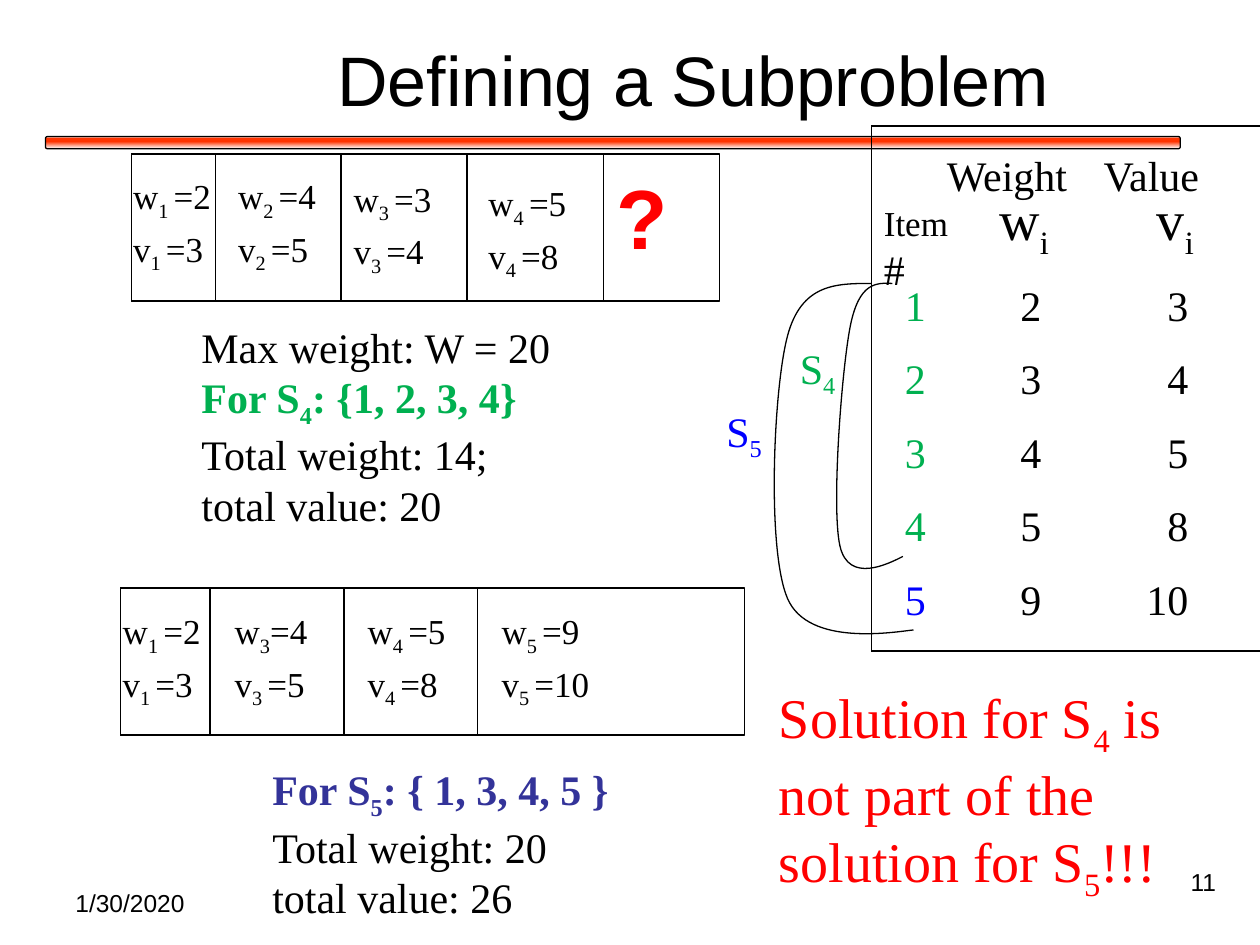
from lxml import etree
from pptx import Presentation
from pptx.dml.color import RGBColor
from pptx.enum.shapes import MSO_CONNECTOR, MSO_SHAPE
from pptx.enum.text import MSO_ANCHOR, MSO_AUTO_SIZE, PP_ALIGN
from pptx.oxml.ns import qn
from pptx.util import Pt

RECT, ROUNDED = MSO_SHAPE.RECTANGLE, MSO_SHAPE.ROUNDED_RECTANGLE
STRAIGHT = MSO_CONNECTOR.STRAIGHT
GROW = MSO_AUTO_SIZE.SHAPE_TO_FIT_TEXT
MIDDLE = MSO_ANCHOR.MIDDLE
LEFT, CENTER, RIGHT = PP_ALIGN.LEFT, PP_ALIGN.CENTER, PP_ALIGN.RIGHT
SERIF, SANS = "Times New Roman", "Arial"
BLACK, GREEN, BLUE, INDIGO, RED = "000000", "00B050", "0000FF", "333399", "FF0000"


def rgb(value):
    return RGBColor.from_string(value)


class Deck:
    """Draws styled elements on the current slide; ~ toggles subscript in text."""

    def __init__(self, slide):
        self.s = slide
        self.line_width = Pt(0.75)

    def outline(self, sp):
        sp.line.color.rgb = rgb(BLACK)
        sp.line.width = self.line_width

    def fill_text(self, p, text, size, color, font, bold):
        for i, part in enumerate(text.split("~")):
            if part:
                r = p.add_run()
                r.text = part
                r.font.size, r.font.name, r.font.bold = Pt(size), font, bold
                r.font.color.rgb = rgb(color)
                if i % 2:
                    r.font._element.set("baseline", "-25000")

    def title(self, text, x, y, w, h):
        sp = self.s.shapes.title
        sp.left, sp.top, sp.width, sp.height = Pt(x), Pt(y), Pt(w), Pt(h)
        tf = sp.text_frame
        tf.vertical_anchor = MIDDLE
        p = tf.paragraphs[0]
        p.alignment = CENTER
        self.fill_text(p, text, 40, BLACK, SANS, False)

    def text(self, lines, x, y, w, h, size=24, color=BLACK, font=SERIF, bold=False,
             wrap=False, align=LEFT, spacing=None, bold_line=None):
        sp = self.s.shapes.add_textbox(Pt(x), Pt(y), Pt(w), Pt(h))
        tf = sp.text_frame
        tf.word_wrap, tf.auto_size = wrap, GROW
        for i, line in enumerate(lines):
            p = tf.paragraphs[0] if i == 0 else tf.add_paragraph()
            p.alignment = align
            if spacing:
                p.line_spacing = spacing
            strong = bold_line is not None and line.startswith("For")
            self.fill_text(p, line, size, bold_line if strong else color, font, bold or strong)
        return tf

    def box(self, x, y, w, h, shape=RECT):
        sp = self.s.shapes.add_shape(shape, Pt(x), Pt(y), Pt(w), Pt(h))
        sp.shadow.inherit = False
        sp.fill.background()
        self.outline(sp)
        return sp

    def gradient_bar(self, x, y, w, h, stops):
        sp = self.box(x, y, w, h, ROUNDED)
        sp.fill.gradient()
        sp.fill.gradient_angle = 270
        stop_list = sp._element.spPr.find(".//" + qn("a:gsLst"))
        for old in list(stop_list):
            stop_list.remove(old)
        for position, color in stops:
            gs = etree.SubElement(stop_list, qn("a:gs"), pos=str(position * 1000))
            etree.SubElement(gs, qn("a:srgbClr"), val=color)

    def line(self, x1, y1, x2, y2):
        sp = self.s.shapes.add_connector(STRAIGHT, Pt(x1), Pt(y1), Pt(x2), Pt(y2))
        self.outline(sp)
        etree.SubElement(sp._element.spPr, qn("a:effectLst"))

    def curve(self, start, *points):
        builder = self.s.shapes.build_freeform(Pt(start[0]), Pt(start[1]))
        builder.add_line_segments([(Pt(x), Pt(y)) for x, y in points], close=False)
        sp = builder.convert_to_shape()
        sp.shadow.inherit = False
        sp.fill.background()
        self.outline(sp)
        outline = sp._element.find(".//" + qn("a:path"))
        segments = outline.findall(qn("a:lnTo"))
        for i in range(0, len(segments), 3):
            bezier = etree.SubElement(outline, qn("a:cubicBezTo"))
            for segment in segments[i:i + 3]:
                bezier.append(segment[0])
                outline.remove(segment)

    def knapsack(self, x, y, w, h, cell_widths, items):
        self.box(x, y, w, h)
        for cell_width in cell_widths:
            self.box(x, y, cell_width, h)
            x += cell_width
        for left, top, width, weight, value in items:
            self.text([weight, value], left, top, width, 60, size=20, wrap=True, spacing=1.1)


prs = Presentation()
prs.slide_width, prs.slide_height = Pt(720), Pt(540)
d = Deck(prs.slides.add_slide(prs.slide_layouts[5]))

d.gradient_bar(26, 78, 648.5, 7, [(0, "FFFFFF"), (16, "FF3300"), (42, "FF3300"), (100, "FFFFFF")])
d.title("Defining a Subproblem", 90, 12, 612, 66)
d.text(["1/30/2020"], 36, 504, 168, 25, size=14, font=SANS, wrap=True)
d.text(["11"], 552, 492, 150, 36, size=14, font=SANS, wrap=True, align=RIGHT)

d.knapsack(75, 88, 336, 84, [48, 72, 72, 78], [
    (69, 93.5, 67, "w~1 ~=2", "v~1 ~=3"),
    (129, 93.5, 72, "w~2 ~=4", "v~2 ~=5"),
    (195, 95, 72, "w~3 ~=3", "v~3 ~=4"),
    (272, 97.5, 66, "w~4 ~=5", "v~4 ~=8"),
])
d.text(["?"], 345, 91, 44, 65, size=48, color=RED, font=SANS, bold=True)
d.text(["Max weight: W = 20", "For S~4~: {1, 2, 3, 4}", "Total weight: 14;", "total value: 20"],
       108, 180, 215, 124, bold_line=GREEN)

d.knapsack(69, 336, 356.5, 84, [51, 76.5, 76.5], [
    (63, 342, 71, "w~1 ~=2", "v~1 ~=3"),
    (127, 342, 63, "w~3~=4", "v~3 ~=5"),
    (203, 342, 70, "w~4 ~=5", "v~4 ~=8"),
    (279.5, 342, 76, "w~5 ~=9", "v~5 ~=10"),
])
d.text(["For S~5~: { 1, 3, 4, 5 }", "Total weight: 20", "total value: 26"],
       148.5, 433, 209.5, 94, bold_line=INDIGO)

for ends in [(498, 72, 720, 72), (498, 72, 498, 372), (498, 372, 720, 372)]:
    d.line(*ends)
d.text(["Weight"], 534, 82, 85, 36)
d.text(["Value"], 623.5, 82, 70, 36)
d.text(["w~i"], 564, 102, 43, 45, size=32, wrap=True)
d.text(["v~i"], 654, 102, 43, 45, size=32, wrap=True)
tf = d.text(["Item", "#"], 498, 111.5, 51, 60, size=20)
tf.paragraphs[1].runs[0].font.size = Pt(24)

for row, (weight, value) in enumerate([(2, 3), (3, 4), (4, 5), (5, 8), (9, 10)]):
    y = 156 + 42 * row
    extra = 12 * (len(str(value)) - 1)
    d.text([str(row + 1)], 510, y, 26.5, 36, color=GREEN if row < 4 else BLUE)
    d.text([str(weight)], 576, y, 26.5, 36)
    d.text([str(value)], 660 - extra, y, 26.5 + extra, 36)

d.curve((510, 162), (500.5, 161.5), (491, 161.5), (486, 186), (481, 211), (475, 290),
        (480, 312), (485, 334), (508, 322), (516, 318))
d.curve((498, 162), (478, 162), (458, 162), (450, 192), (442, 222), (438, 314),
        (450, 342), (462, 370), (512, 361), (522, 360))
d.text(["S~4"], 450, 192, 36, 36, color=GREEN, wrap=True)
d.text(["S~5"], 408, 228, 36, 36, color=BLUE, wrap=True)
d.text(["Solution for S~4~ is not part of the solution for S~5~!!!"],
       438, 386.5, 246, 122.5, size=32, color=RED, wrap=True)

prs.save("out.pptx")
